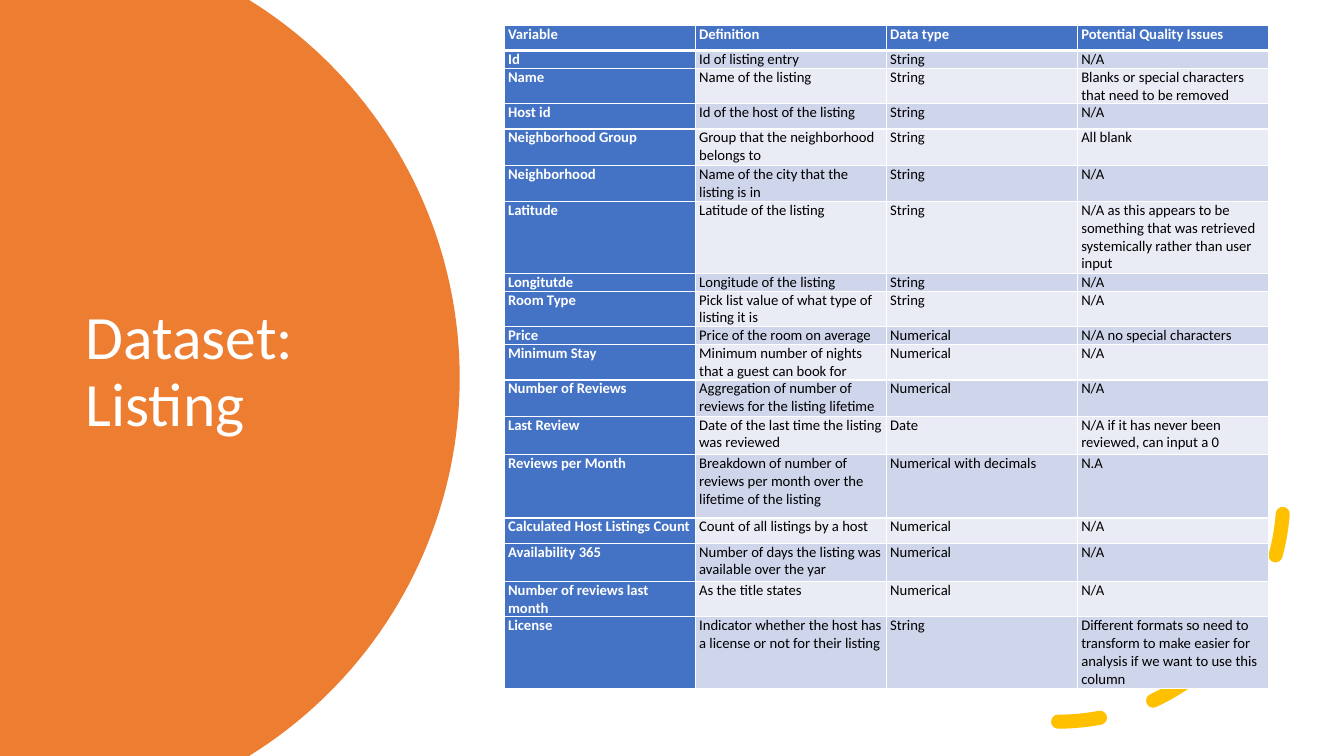
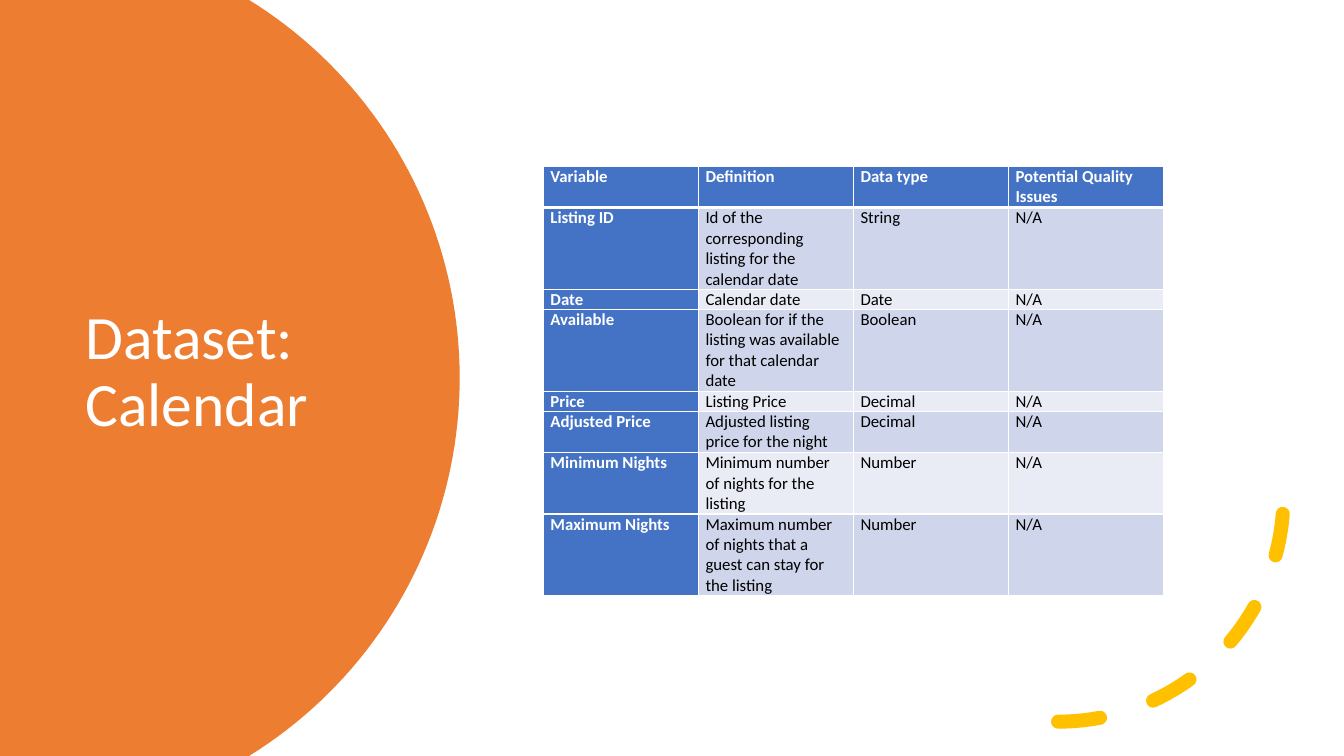
from dataclasses import dataclass
from math import asin, cos, sin

from lxml.etree import SubElement
from pptx import Presentation
from pptx.dml.color import RGBColor
from pptx.enum.dml import MSO_LINE
from pptx.enum.shapes import MSO_SHAPE
from pptx.enum.text import MSO_ANCHOR
from pptx.oxml.ns import qn
from pptx.util import Inches, Pt


@dataclass(frozen=True)
class Theme:
    """Colours, font and type sizes shared by the slides."""
    font: str = "Calibri"
    white: str = "FFFFFF"
    black: str = "000000"
    panel: str = "ED7D31"
    accent: str = "FFC000"
    header: str = "4472C4"
    bands: tuple = ("CFD5EA", "E9EBF5")
    title_size: float = 44
    border: float = 1
    header_border: float = 3


class Deck:
    """Holds the style and the current slide."""

    def __init__(self, theme):
        """Start a widescreen presentation."""
        self.theme = theme
        self.prs = Presentation()
        self.prs.slide_width, self.prs.slide_height = Inches(13.33), Inches(7.5)
        self.s = None

    def slide(self, title):
        """Add a slide with the round panel, title and dashed arc."""
        self.s = self.prs.slides.add_slide(self.prs.slide_layouts[6])
        self.panel()
        self.title(title)
        self.arc()

    def panel(self, cx=0.15, cy=3.75, radius=4.41, steps=80):
        """Draw the left panel, bounded by part of a circle."""
        end = asin(cy / radius)
        angles = [end * (2 * i / steps - 1) for i in range(steps + 1)]
        curve = [(Inches(cx + radius * cos(a)), Inches(cy + radius * sin(a)))
                 for a in angles]
        builder = self.s.shapes.build_freeform(0, 0)
        builder.add_line_segments(curve + [(0, Inches(2 * cy))], close=True)
        sp = builder.convert_to_shape()
        sp.shadow.inherit = False
        sp.fill.solid()
        sp.fill.fore_color.rgb = RGBColor.from_string(self.theme.panel)
        sp.line.fill.background()

    def title(self, text):
        """Add the slide title on the panel."""
        box = self.s.shapes.add_textbox(Inches(0.75), Inches(1.26),
                                        Inches(3.5), Inches(4.88))
        tf = box.text_frame
        tf.word_wrap = True
        tf.vertical_anchor = MSO_ANCHOR.MIDDLE
        p = tf.paragraphs[0]
        p.line_spacing = 0.9
        self.run(p, text, self.theme.title_size, self.theme.white)

    def arc(self):
        """Draw the dashed arc in the lower right corner."""
        sp = self.s.shapes.add_shape(MSO_SHAPE.ARC, Inches(8.26), Inches(2.69),
                                     Inches(4.47), Inches(4.47))
        sp.shadow.inherit = False
        sp.fill.background()
        sp.line.color.rgb = RGBColor.from_string(self.theme.accent)
        sp.line.width = Pt(10)
        sp.line.dash_style = MSO_LINE.DASH
        sp.element.spPr.find(qn("a:ln")).set("cap", "rnd")
        sp.element.spPr.find(qn("a:xfrm")).set("flipV", "1")

    def run(self, p, text, size, color, bold=False):
        """Add one formatted run to a paragraph."""
        r = p.add_run()
        r.text = text
        r.font.name = self.theme.font
        r.font.size = Pt(size)
        r.font.bold = bold
        r.font.color.rgb = RGBColor.from_string(color)

    def borders(self, cell, row):
        """Draw white cell borders, heavier under the header row."""
        tc_pr = cell._tc.get_or_add_tcPr()
        heavy = {(0, "lnB"), (1, "lnT")}
        for side in ("lnL", "lnR", "lnT", "lnB"):
            width = (self.theme.header_border if (row, side) in heavy
                     else self.theme.border)
            ln = SubElement(tc_pr, qn(f"a:{side}"), w=str(Pt(width)))
            fill = SubElement(ln, qn("a:solidFill"))
            SubElement(fill, qn("a:srgbClr"), val=self.theme.white)

    def cell(self, cell, text, row, col, size, inset):
        """Style and fill one table cell."""
        t = self.theme
        head = row == 0 or col == 0
        self.borders(cell, row)
        cell.fill.solid()
        cell.fill.fore_color.rgb = RGBColor.from_string(
            t.header if head else t.bands[(row - 1) % 2])
        cell.margin_left = cell.margin_right = Inches(inset)
        cell.margin_top = cell.margin_bottom = 0
        p = cell.text_frame.paragraphs[0]
        p.space_before = p.space_after = Pt(6)
        self.run(p, text, size, t.white if head else t.black, head)

    def table(self, left, top, width, heights, rows, size, inset):
        """Add a table with a header row, header column and banded body."""
        rows = [HEADINGS] + rows
        frame = self.s.shapes.add_table(
            len(rows), len(HEADINGS), Inches(left), Inches(top),
            Inches(width), Inches(sum(heights)))
        table = frame.table
        for column in table.columns:
            column.width = Inches(width / len(HEADINGS))
        for i, (height, texts) in enumerate(zip(heights, rows)):
            table.rows[i].height = Inches(height)
            for j, text in enumerate(texts):
                self.cell(table.cell(i, j), text, i, j, size, inset)


HEADINGS = ("Variable", "Definition", "Data type", "Potential Quality Issues")

LISTING = [
    ("Id", "Id of listing entry", "String", "N/A"),
    ("Name", "Name of the listing", "String",
     "Blanks or special characters that need to be removed"),
    ("Host id", "Id of the host of the listing", "String", "N/A"),
    ("Neighborhood Group", "Group that the neighborhood belongs to", "String",
     "All blank"),
    ("Neighborhood", "Name of the city that the listing is in", "String", "N/A"),
    ("Latitude", "Latitude of the listing", "String",
     "N/A as this appears to be something that was retrieved systemically "
     "rather than user input"),
    ("Longitutde", "Longitude of the listing", "String", "N/A"),
    ("Room Type", "Pick list value of what type of listing it is", "String",
     "N/A"),
    ("Price", "Price of the room on average", "Numerical",
     "N/A no special characters"),
    ("Minimum Stay", "Minimum number of nights that a guest can book for",
     "Numerical", "N/A"),
    ("Number of Reviews",
     "Aggregation of number of reviews for the listing lifetime",
     "Numerical", "N/A"),
    ("Last Review", "Date of the last time the listing was reviewed", "Date",
     "N/A if it has never been reviewed, can input a 0"),
    ("Reviews per Month",
     "Breakdown of number of reviews per month over the lifetime of the listing",
     "Numerical with decimals", "N.A"),
    ("Calculated Host Listings Count", "Count of all listings by a host",
     "Numerical", "N/A"),
    ("Availability 365",
     "Number of days the listing was available over the yar",
     "Numerical", "N/A"),
    ("Number of reviews last month", "As the title states", "Numerical", "N/A"),
    ("License",
     "Indicator whether the host has a license or not for their listing",
     "String",
     "Different formats so need to transform to make easier for analysis "
     "if we want to use this column"),
]
LISTING_HEIGHTS = [0.25, 0.18, 0.35, 0.25, 0.36, 0.36, 0.71, 0.18, 0.35,
                   0.18, 0.35, 0.36, 0.38, 0.63, 0.25, 0.38, 0.35, 0.71]

CALENDAR = [
    ("Listing ID", "Id of the corresponding listing for the calendar date",
     "String", "N/A"),
    ("Date", "Calendar date", "Date", "N/A"),
    ("Available",
     "Boolean for if the listing was available for that calendar date",
     "Boolean", "N/A"),
    ("Price", "Listing Price", "Decimal", "N/A"),
    ("Adjusted Price", "Adjusted listing price for the night", "Decimal", "N/A"),
    ("Minimum Nights", "Minimum number of nights for the listing", "Number",
     "N/A"),
    ("Maximum Nights",
     "Maximum number of nights that a guest can stay for the listing",
     "Number", "N/A"),
]
CALENDAR_HEIGHTS = [0.41, 0.81, 0.2, 0.81, 0.2, 0.41, 0.61, 0.81]

deck = Deck(Theme())
deck.slide("Dataset: Listing")
deck.table(5, 0.25, 7.58, LISTING_HEIGHTS, LISTING, size=10.5, inset=0.04)
deck.slide("Dataset: Calendar")
deck.table(5.39, 1.65, 6.15, CALENDAR_HEIGHTS, CALENDAR, size=12, inset=0.07)
deck.prs.save("out.pptx")
